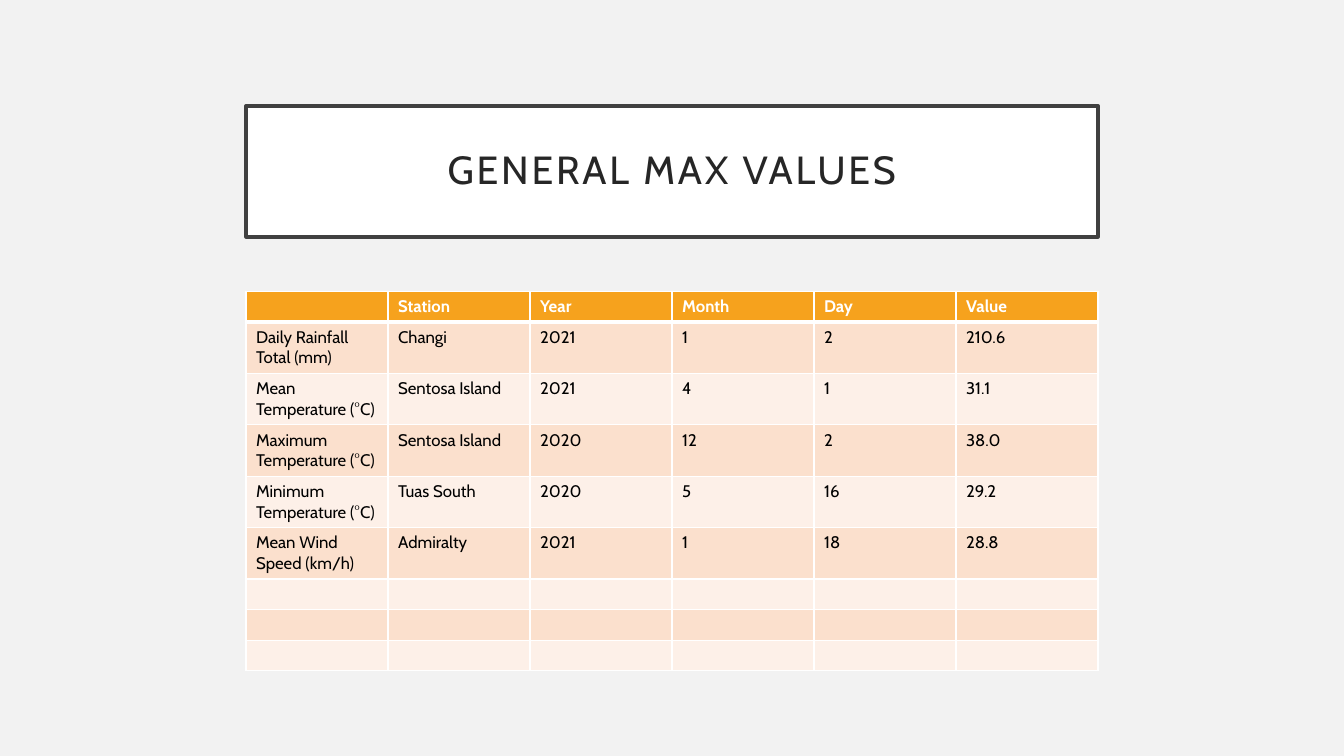
"""Build a slide with a framed title and a table of maximum weather values."""
import lxml.etree
import pptx
import pptx.dml.color
import pptx.enum.text
import pptx.oxml.ns
import pptx.util

Inches = pptx.util.Inches
Pt = pptx.util.Pt
FONT = "Cabin"
COLORS = {
    "background": "F2F2F2", "white": "FFFFFF", "frame": "404040",
    "title": "262626", "header": "F6A21D", "text": "000000",
    "odd": "FBE0CD", "even": "FDF0E8",
}
RECORDS = [
    ("", "Station", "Year", "Month", "Day", "Value"),
    ("Daily Rainfall Total (mm)", "Changi", "2021", "1", "2", "210.6"),
    ("Mean Temperature (°C)", "Sentosa Island", "2021", "4", "1", "31.1"),
    ("Maximum Temperature (°C)", "Sentosa Island", "2020", "12", "2", "38.0"),
    ("Minimum Temperature (°C)", "Tuas South", "2020", "5", "16", "29.2"),
    ("Mean Wind Speed (km/h)", "Admiralty", "2021", "1", "18", "28.8"),
] + [("",) * 6] * 3


def color(name):
    """Return the named colour."""
    return pptx.dml.color.RGBColor.from_string(COLORS[name])


def paint(fill, name):
    """Make a fill solid in the named colour."""
    fill.solid()
    fill.fore_color.rgb = color(name)


def add_run(paragraph, text, size, color_name, bold=False):
    """Append a formatted run to a paragraph."""
    run = paragraph.add_run()
    run.text = text
    run.font.name = FONT
    run.font.size = Pt(size)
    run.font.bold = bold
    run.font.color.rgb = color(color_name)
    return run


def add_element(parent, tag, **attributes):
    """Append a drawing element with attributes."""
    element = lxml.etree.SubElement(parent, pptx.oxml.ns.qn(tag))
    for name, value in attributes.items():
        element.set(name, str(value))
    return element


def add_borders(cell, bottom_width):
    """Give a cell white borders with the given bottom width."""
    properties = cell._tc.get_or_add_tcPr()
    widths = {"a:lnL": 1, "a:lnR": 1, "a:lnT": 1, "a:lnB": bottom_width}
    for tag, width in widths.items():
        line = add_element(properties, tag, w=Pt(width))
        solid = add_element(line, "a:solidFill")
        add_element(solid, "a:srgbClr", val=COLORS["white"])


def place_title(slide, text, left, top, width, height):
    """Place the framed title in the given box."""
    title = slide.shapes.title
    title.left, title.top, title.width, title.height = left, top, width, height
    paint(title.fill, "white")
    title.line.color.rgb = color("frame")
    title.line.width = Pt(2.5)
    frame = title.text_frame
    frame.word_wrap = True
    frame.auto_size = pptx.enum.text.MSO_AUTO_SIZE.NONE
    frame.vertical_anchor = pptx.enum.text.MSO_ANCHOR.MIDDLE
    frame.margin_left = frame.margin_right = Inches(0.2)
    frame.margin_top = frame.margin_bottom = Inches(0.2)
    paragraph = frame.paragraphs[0]
    paragraph.alignment = pptx.enum.text.PP_ALIGN.CENTER
    paragraph.line_spacing = 0.9
    run = add_run(paragraph, text, 28, "title")
    run.font._element.set("spc", "200")


def fill_cell(cell, text, row_index):
    """Format one table cell according to its row."""
    header = row_index == 0
    add_borders(cell, 3 if header else 1)
    paint(cell.fill, "header" if header else "odd" if row_index % 2 else "even")
    paragraph = cell.text_frame.paragraphs[0]
    if text:
        add_run(paragraph, text, 12, "white" if header else "text", header)
    else:
        ending = add_element(paragraph._p, "a:endParaRPr", sz=1200)
        add_element(ending, "a:latin", typeface=FONT)


def place_table(slide, records, left, top, width, height):
    """Place the table of records, with two-line rows where labelled."""
    shape = slide.shapes.add_table(
        len(records), len(records[0]), left, top, width, height)
    table = shape.table
    short, tall = Inches(0.3), Inches(0.51)
    for row_index, record in enumerate(records):
        table.rows[row_index].height = tall if record[0] else short
        for column_index, text in enumerate(record):
            fill_cell(table.cell(row_index, column_index), text, row_index)


def build_slide(presentation):
    """Add the slide of general maximum values."""
    slide = presentation.slides.add_slide(presentation.slide_layouts[5])
    paint(slide.background.fill, "background")
    left, width = Inches(2.44), Inches(8.45)
    place_title(slide, "GENERAL MAX VALUES", left, Inches(1.05), width, Inches(1.3))
    place_table(slide, RECORDS, left, Inches(2.89), width, Inches(3.75))


presentation = pptx.Presentation()
presentation.slide_width = Inches(13.33)
presentation.slide_height = Inches(7.5)
build_slide(presentation)
presentation.save("out.pptx")
